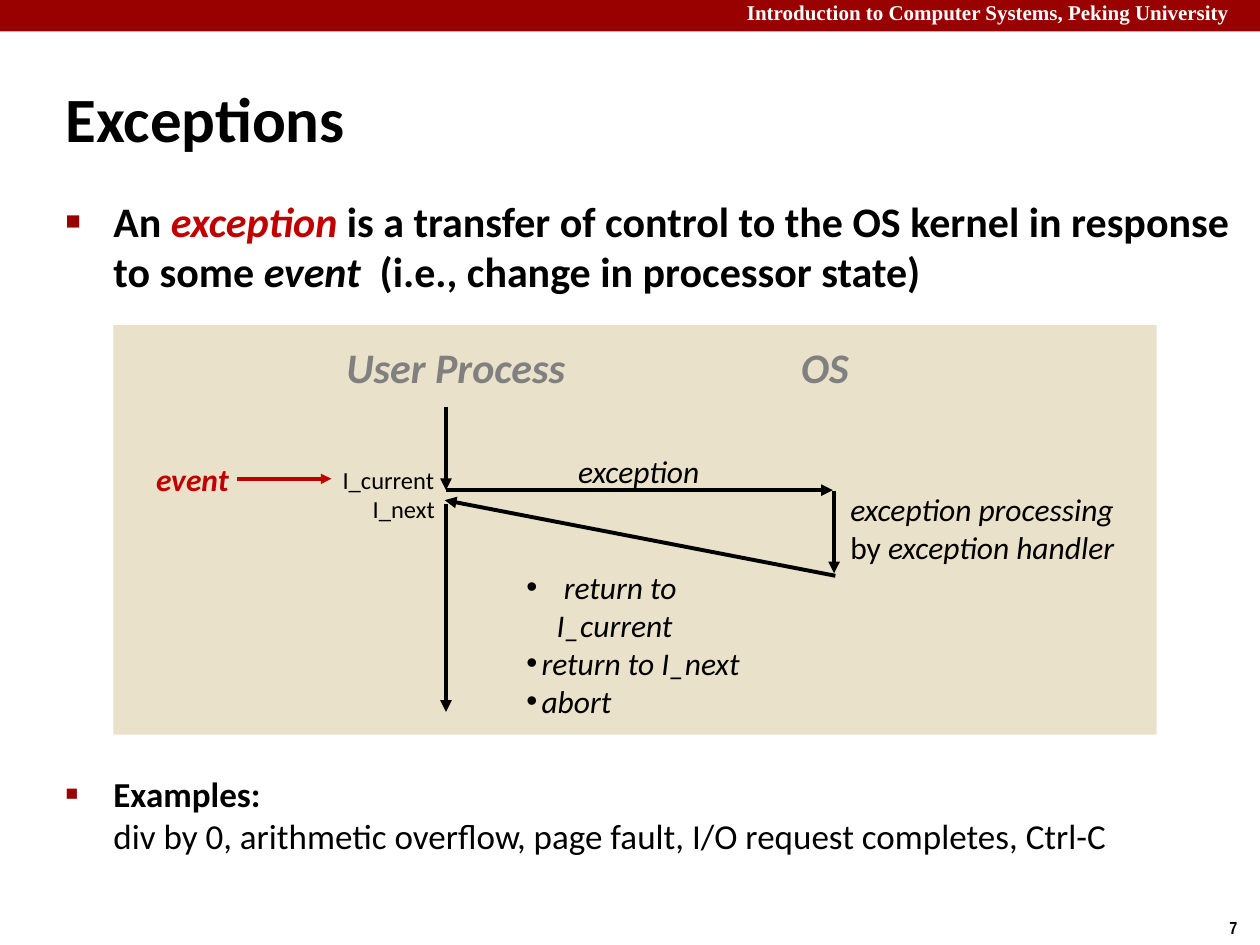
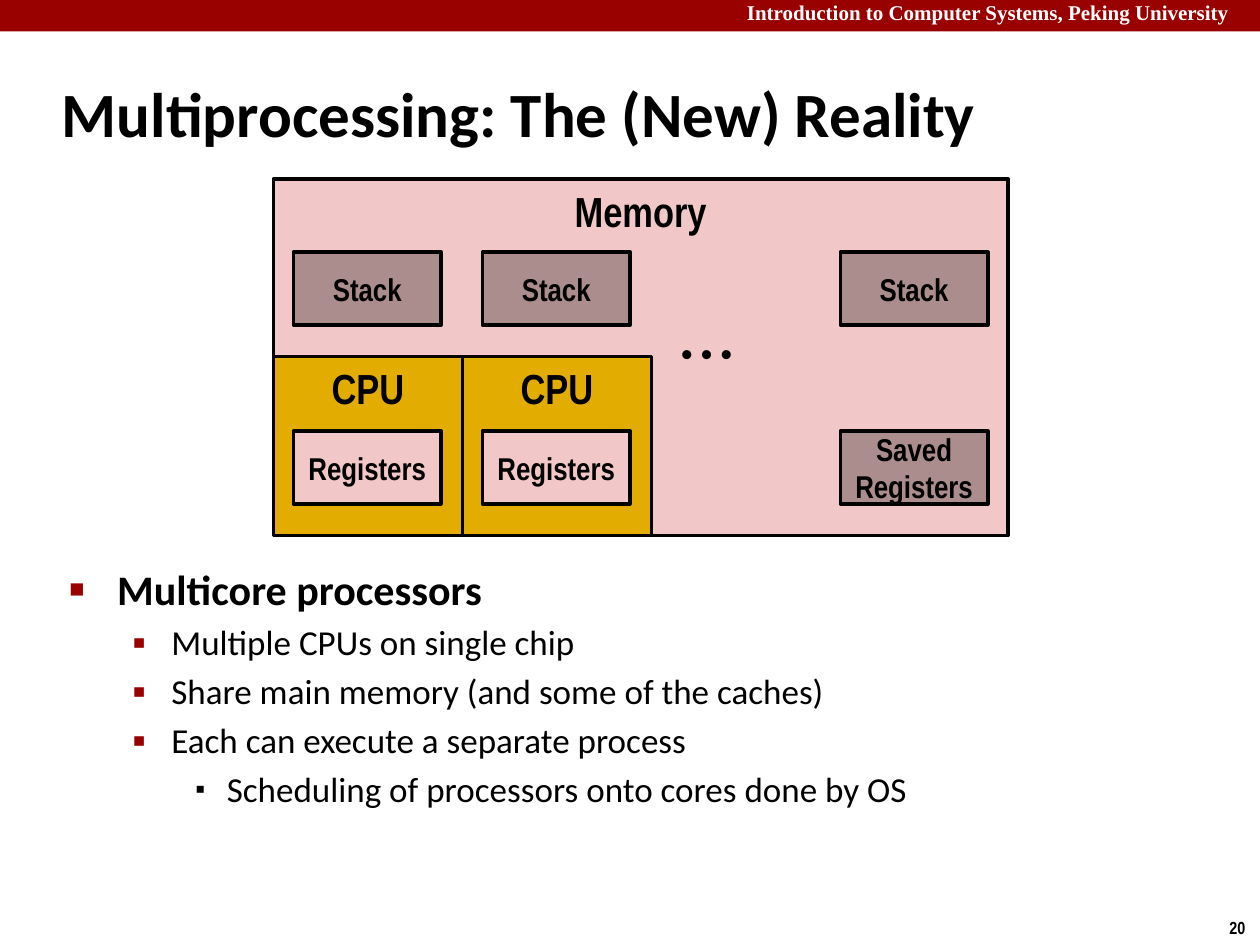
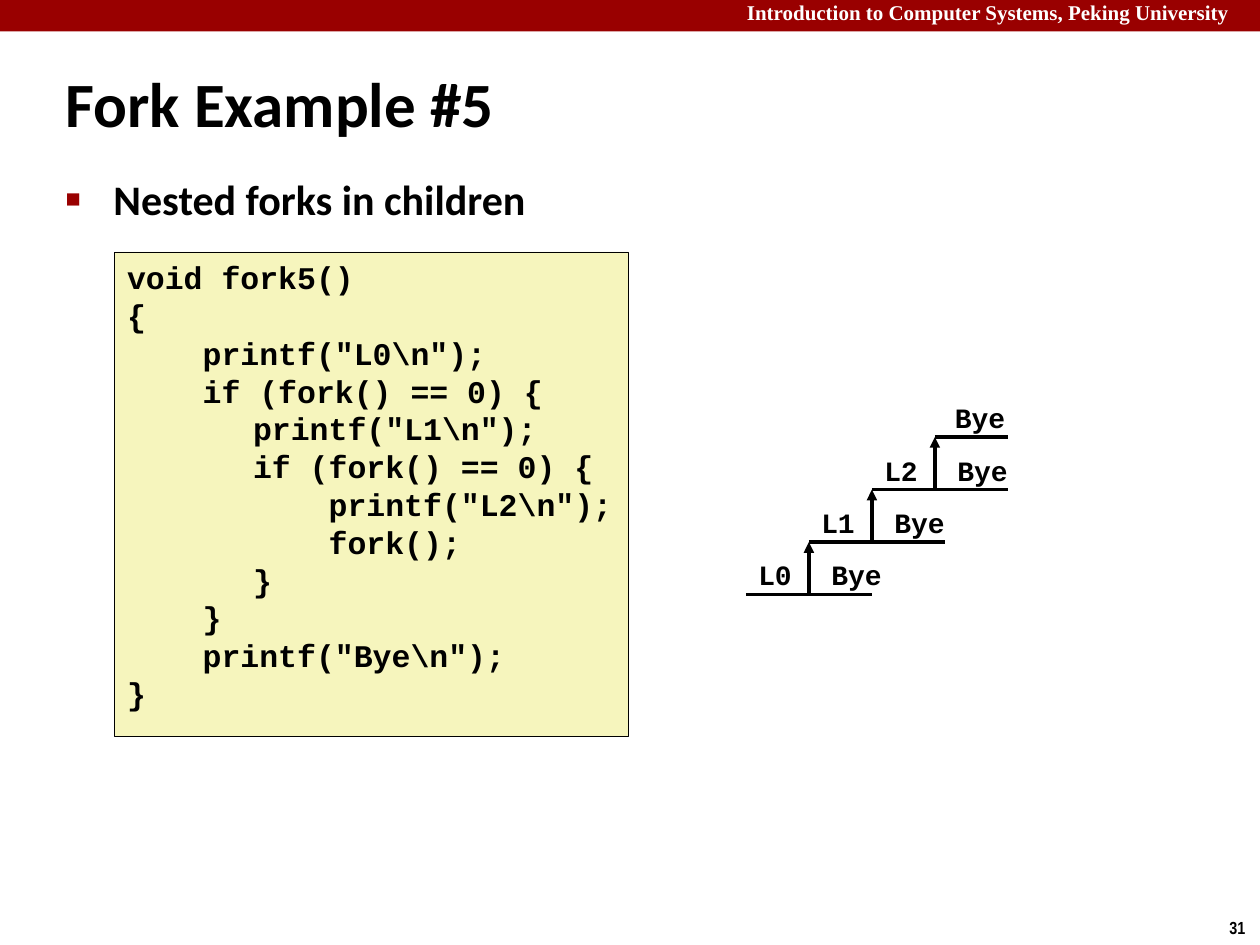
from lxml import etree
from pptx import Presentation, util as u
from pptx.dml.color import RGBColor
from pptx.enum import shapes, text
from pptx.oxml.ns import qn

THEME = {
    "color": {"band": "990000", "accent": "C00000", "ink": "000000", "paper": "FFFFFF",
              "muted": "808080", "panel": "E9E1C9", "memory": "F1C7C7",
              "cpu": "E2AC00", "stack": "AB8D8D", "code": "F6F5BD"},
    # style: font, size, bold, italic, colour
    "style": {
        "band": ("Times New Roman", 12, True, False, "paper"),
        "page": ("Arial Narrow", 10, True, False, "ink"),
        "title": ("Calibri", 36, True, False, "ink"),
        "lead": ("Calibri", 24, True, False, "ink"),
        "lead event": ("Calibri", 24, True, True, "ink"),
        "lead accent": ("Calibri", 24, True, True, "accent"),
        "detail": ("Calibri", 20, False, False, "ink"),
        "detail strong": ("Calibri", 20, True, False, "ink"),
        "heading": ("Calibri", 24, True, True, "muted"),
        "label": ("Calibri", 18, False, True, "ink"),
        "label plain": ("Calibri", 18, False, False, "ink"),
        "event": ("Calibri", 18, True, True, "accent"),
        "instruction": ("Calibri", 14, False, False, "ink"),
        "block": ("Arial Narrow", 24, True, False, "ink"),
        "part": ("Arial Narrow", 18, True, False, "ink"),
        "dots": ("Arial", 18, True, False, "ink"),
        "code": ("Courier New", 18, True, False, "ink"),
        "output": ("Courier New", 16, True, False, "ink"),
    },
    # bullet: character, colour, percent of text size, left margin, hanging indent
    "bullet": {
        0: ("■", "band", 60, 0.38, 0.38),
        1: ("▪", "band", 110, 0.81, 0.31),
        2: ("▪", "ink", 80, 1.25, 0.25),
        "wide dot": ("•", "ink", 100, 0.24, 0.24),
        "dot": ("•", "ink", 100, 0.12, 0.12),
    },
}
COURSE = "Introduction to Computer Systems, Peking University"
MIDDLE, TOP = text.MSO_ANCHOR.MIDDLE, text.MSO_ANCHOR.TOP

# Body paragraphs: level, points before, runs of (text, style)
EXCEPTIONS = {
    "page": "7", "title": "Exceptions", "title box": (0.42, 0.58, 3.67, 0.63),
    "title anchor": TOP, "body box": (0.42, 1.5, 9.5, 5.4),
    "body": [
        (0, 2, [("An ", "lead"), ("exception", "lead accent"),
                (" is a transfer of control to the OS kernel in response to some ", "lead"),
                ("event", "lead event"), ("  (i.e., change in processor state)", "lead")]),
        (0, 272, [("Examples: \n", "detail strong"),
                  ("div by 0, arithmetic overflow, page fault, I/O request completes, Ctrl-C",
                   "detail")]),
    ],
}
MULTICORE = {
    "page": "20", "title": "Multiprocessing: The (New) Reality",
    "title box": (0.39, 0.48, 9.28, 0.83), "title anchor": MIDDLE,
    "body box": (0.45, 4.42, 8.64, 2.51),
    "body": [(0, 2, [("Multicore processors", "lead")])] + [
        (level, 4, [(line, "detail")]) for level, line in (
            (1, "Multiple CPUs on single chip"),
            (1, "Share main memory (and some of the caches)"),
            (1, "Each can execute a separate process"),
            (2, "Scheduling of processors onto cores done by OS"))],
}
FORK = {
    "page": "31", "title": "Fork Example #5", "title box": (0.42, 0.5, 5.57, 0.63),
    "title anchor": MIDDLE, "body box": (0.42, 1.33, 8.64, 0.84),
    "body": [(0, 2, [("Nested forks in children", "lead")])],
}

# Flow labels: box, wraps, paragraphs of (bullet, runs)
FLOW_LABELS = [
    ((2.65, 2.66, 1.97, 0.5), False, [(None, [("User Process", "heading")])]),
    ((6.26, 2.66, 0.59, 0.5), False, [(None, [("OS", "heading")])]),
    ((4.49, 3.54, 1.17, 0.4), False, [(None, [("exception", "label")])]),
    ((6.65, 3.84, 2.35, 1.01), True, [
        (None, [("exception processing", "label")]),
        (None, [("by ", "label plain"), ("exception handler", "label")])]),
    ((4.08, 4.46, 2.24, 1.31), True, [
        ("wide dot", [(" return to I_current", "label")]),
        ("dot", [("return to I_next", "label")]),
        ("dot", [("abort", "label")])]),
    ((1.14, 3.6, 0.88, 0.4), True, [(None, [("event ", "event")])]),
    ((2.62, 3.64, 0.95, 0.34), False, [(None, [("I_current", "instruction")])]),
    ((2.86, 3.87, 0.71, 0.34), False, [(None, [("I_next", "instruction")])]),
]
# Flow arrows: start, end, colour, width
FLOW_ARROWS = [
    ((3.54, 3.23), (3.54, 3.89), "ink", 2.25),
    ((3.54, 3.89), (6.61, 3.89), "ink", 2.25),
    ((6.62, 3.9), (6.62, 4.55), "ink", 2.25),
    ((6.63, 4.57), (3.53, 3.97), "ink", 2.25),
    ((3.54, 4), (3.54, 5.65), "ink", 2.25),
    ((1.88, 3.8), (2.63, 3.8), "accent", 2),
]
CODE_INDENTS = (0, 0.6, 1, 1.6)
CODE = [
    (0, "void fork5()"), (0, "{"), (1, 'printf("L0\\n");'), (1, "if (fork() == 0) {"),
    (2, 'printf("L1\\n");'), (2, "if (fork() == 0) {"), (3, 'printf("L2\\n");'),
    (3, "fork();"), (2, "}"), (1, "}"), (1, 'printf("Bye\\n");'), (0, "}"),
]
# Process rows from parent up: label, right end of its line
PROCESSES = [("L0", 6.92), ("L1", 7.5), ("L2", 8), (None, 8)]


def rgb(name):
    """Return a theme colour."""
    return RGBColor.from_string(THEME["color"][name])


def inches(values):
    """Turn numbers into lengths."""
    return [u.Inches(value) for value in values]


def assign(target, values):
    """Set attributes from a dict."""
    for name, value in values.items():
        setattr(target, name, value)


def add_run(paragraph, content, style):
    """Add styled text; a newline becomes a line break."""
    font, size, bold, italic, color = THEME["style"][style]
    for index, part in enumerate(content.split("\n")):
        if index:
            paragraph.add_line_break()
        if part:
            run = paragraph.add_run()
            run.text = part
            assign(run.font, {"name": font, "size": u.Pt(size), "bold": bold, "italic": italic})
            run.font.color.rgb = rgb(color)


def set_indent(paragraph, left, hanging=0):
    """Set the left margin and hanging indent."""
    properties = paragraph._p.get_or_add_pPr()
    properties.set("marL", str(u.Inches(left)))
    properties.set("indent", str(-u.Inches(hanging)))


def set_bullet(paragraph, key):
    """Give a paragraph a theme bullet."""
    character, color, percent, left, hanging = THEME["bullet"][key]
    set_indent(paragraph, left, hanging)
    properties = paragraph._p.get_or_add_pPr()
    fill = etree.SubElement(properties, qn("a:buClr"))
    etree.SubElement(fill, qn("a:srgbClr")).set("val", THEME["color"][color])
    for tag, name, value in (("a:buSzPct", "val", str(percent * 1000)),
                             ("a:buFont", "typeface", "Arial"),
                             ("a:buChar", "char", character)):
        etree.SubElement(properties, qn(tag)).set(name, value)


def paragraphs_of(frame, count):
    """Return the given number of paragraphs in an empty frame."""
    return [frame.paragraphs[0]] + [frame.add_paragraph() for _ in range(count - 1)]


def add_text(slide, box, paragraphs, wrap=False):
    """Add a text box of (bullet, runs) paragraphs."""
    frame = slide.shapes.add_textbox(*inches(box)).text_frame
    fit = text.MSO_AUTO_SIZE.NONE if wrap else text.MSO_AUTO_SIZE.SHAPE_TO_FIT_TEXT
    assign(frame, {"word_wrap": wrap, "auto_size": fit})
    for paragraph, (bullet, runs) in zip(paragraphs_of(frame, len(paragraphs)), paragraphs):
        if bullet:
            set_bullet(paragraph, bullet)
        for content, style in runs:
            add_run(paragraph, content, style)


def add_label(slide, box, content, style, wrap=False):
    """Add a text box with a single run."""
    add_text(slide, box, [(None, [(content, style)])], wrap)


def add_box(slide, box, fill, line=0, content=None, style=None, anchor=TOP):
    """Add a rectangle, with an outline and centred text if given."""
    shape = slide.shapes.add_shape(shapes.MSO_SHAPE.RECTANGLE, *inches(box))
    shape.shadow.inherit = False
    shape.fill.solid()
    shape.fill.fore_color.rgb = rgb(fill)
    if line:
        shape.line.color.rgb = rgb("ink")
        shape.line.width = u.Pt(line)
    else:
        shape.line.fill.background()
    if content:
        assign(shape.text_frame, {"word_wrap": True, "vertical_anchor": anchor})
        paragraph = shape.text_frame.paragraphs[0]
        paragraph.alignment = text.PP_ALIGN.CENTER
        add_run(paragraph, content, style)
    return shape


def add_line(slide, start, end, color="ink", width=2, arrow=False):
    """Add a straight line, with an arrowhead at its end if asked."""
    connector = slide.shapes.add_connector(
        shapes.MSO_CONNECTOR.STRAIGHT, *inches((*start, *end)))
    connector.line.color.rgb = rgb(color)
    connector.line.width = u.Pt(width)
    if arrow:
        etree.SubElement(connector.line._get_or_add_ln(), qn("a:tailEnd")).set("type", "triangle")
    etree.SubElement(connector._element.spPr, qn("a:effectLst"))


def place(shape, box, anchor):
    """Move a placeholder and return its text frame."""
    assign(shape, dict(zip(("left", "top", "width", "height"), inches(box))))
    assign(shape.text_frame, {"vertical_anchor": anchor, "word_wrap": True,
                              "auto_size": text.MSO_AUTO_SIZE.NONE})
    return shape.text_frame


def start_slide(presentation, content):
    """Add a slide with its band, page number, title and list."""
    slide = presentation.slides.add_slide(presentation.slide_layouts[1])
    add_box(slide, (0, 0, 10, 0.25), "band")
    add_label(slide, (5.83, -0.05, 4.17, 0.3), COURSE, "band", wrap=True)
    add_label(slide, (9.66, 7.23, 0.34, 0.27), content["page"], "page")
    title = place(slide.shapes.title, content["title box"], content["title anchor"]).paragraphs[0]
    title.alignment = text.PP_ALIGN.LEFT
    set_indent(title, 0.13, 0.13)
    add_run(title, content["title"], "title")
    body = place(slide.placeholders[1], content["body box"], TOP)
    for paragraph, (level, before, runs) in zip(
            paragraphs_of(body, len(content["body"])), content["body"]):
        assign(paragraph, {"level": level, "space_before": u.Pt(before)})
        set_bullet(paragraph, level)
        for run in runs:
            add_run(paragraph, *run)
    return slide


def draw_exception_flow(slide):
    """Draw control passing between user process and OS."""
    add_box(slide, (0.9, 2.58, 8.28, 3.25), "panel")
    for start, end, color, width in FLOW_ARROWS:
        add_line(slide, start, end, color, width, arrow=True)
    for box, wrap, paragraphs in FLOW_LABELS:
        add_text(slide, box, paragraphs, wrap)


def draw_multicore(slide):
    """Draw memory with two CPUs and a waiting process."""
    left, pitch, cpu_top = 2.17, 1.5, 2.83
    part_size, stack_top, register_top = (1.17, 0.58), 2, 3.42
    add_box(slide, (left, 1.42, 5.83, 2.83), "memory", 2, "Memory", "block")
    cpu_lefts = [left + pitch * index for index in range(2)]
    for cpu_left in cpu_lefts:
        add_box(slide, (cpu_left, cpu_top, pitch, 1.42), "cpu", 2, "CPU", "block")
    part_lefts = [cpu_left + 0.16 for cpu_left in cpu_lefts] + [6.67]
    registers = [("Registers", "memory")] * 2 + [("Saved Registers", "stack")]
    for part_left, (name, fill) in zip(part_lefts, registers):
        add_box(slide, (part_left, stack_top, *part_size), "stack", 2, "Stack", "part", MIDDLE)
        add_box(slide, (part_left, register_top, *part_size), fill, 2, name, "part", MIDDLE)
    add_label(slide, (5.31, 2.6, 1.05, 0.4), "• • •", "dots")


def draw_code(slide):
    """Draw the listing, indented by paragraph margins."""
    frame = add_box(slide, (0.91, 2, 4.08, 3.84), "code", 0.25).text_frame
    assign(frame, {"word_wrap": True, "vertical_anchor": TOP, "margin_right": 0})
    for paragraph, (depth, line) in zip(paragraphs_of(frame, len(CODE)), CODE):
        paragraph.alignment = text.PP_ALIGN.LEFT
        set_indent(paragraph, CODE_INDENTS[depth])
        add_run(paragraph, line, "code")


def draw_process_graph(slide):
    """Draw one step per process, each forked from the one below."""
    step, rise, lift = 0.5, 1.25 / 3, 0.34
    for index, (label, end) in enumerate(PROCESSES):
        left, level = 5.92 + step * index, 4.72 - rise * index
        fork = left + step
        if label:
            add_line(slide, (left, level), (fork, level))
            add_line(slide, (fork, level), (end, level))
            add_line(slide, (fork, level), (fork, level - rise), arrow=True)
            add_label(slide, (left, level - lift, 0.47, 0.37), label, "output")
        else:
            add_line(slide, (left, level), (end, level))
        bye_left = fork + 0.08 if label else left + 0.06
        add_label(slide, (bye_left, level - lift, 0.6, 0.37), "Bye", "output")


def main():
    """Build and save the presentation."""
    presentation = Presentation()
    assign(presentation, {"slide_width": u.Inches(10), "slide_height": u.Inches(7.5)})
    for content, drawings in ((EXCEPTIONS, [draw_exception_flow]),
                              (MULTICORE, [draw_multicore]),
                              (FORK, [draw_code, draw_process_graph])):
        slide = start_slide(presentation, content)
        for draw in drawings:
            draw(slide)
    presentation.save("out.pptx")


main()
